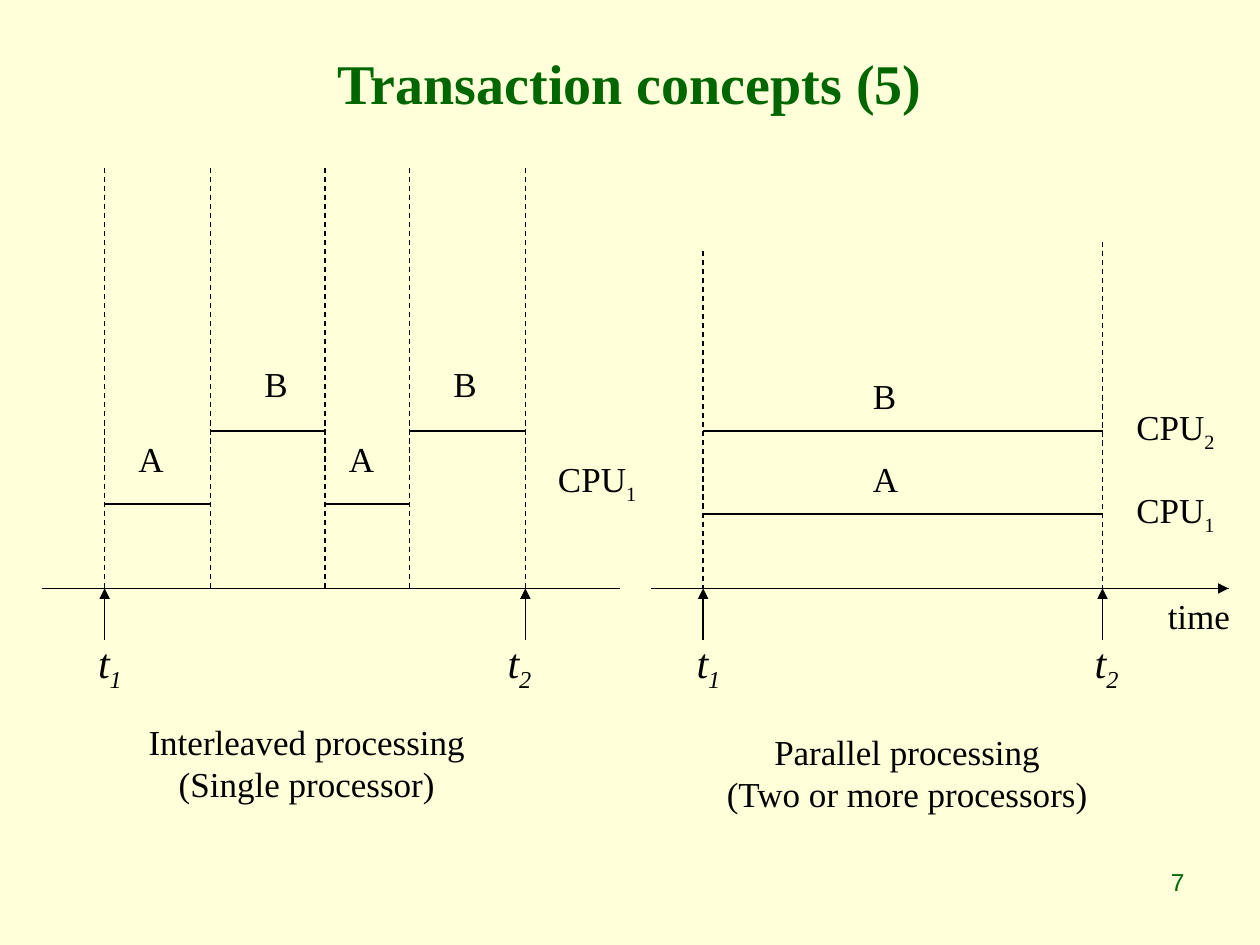
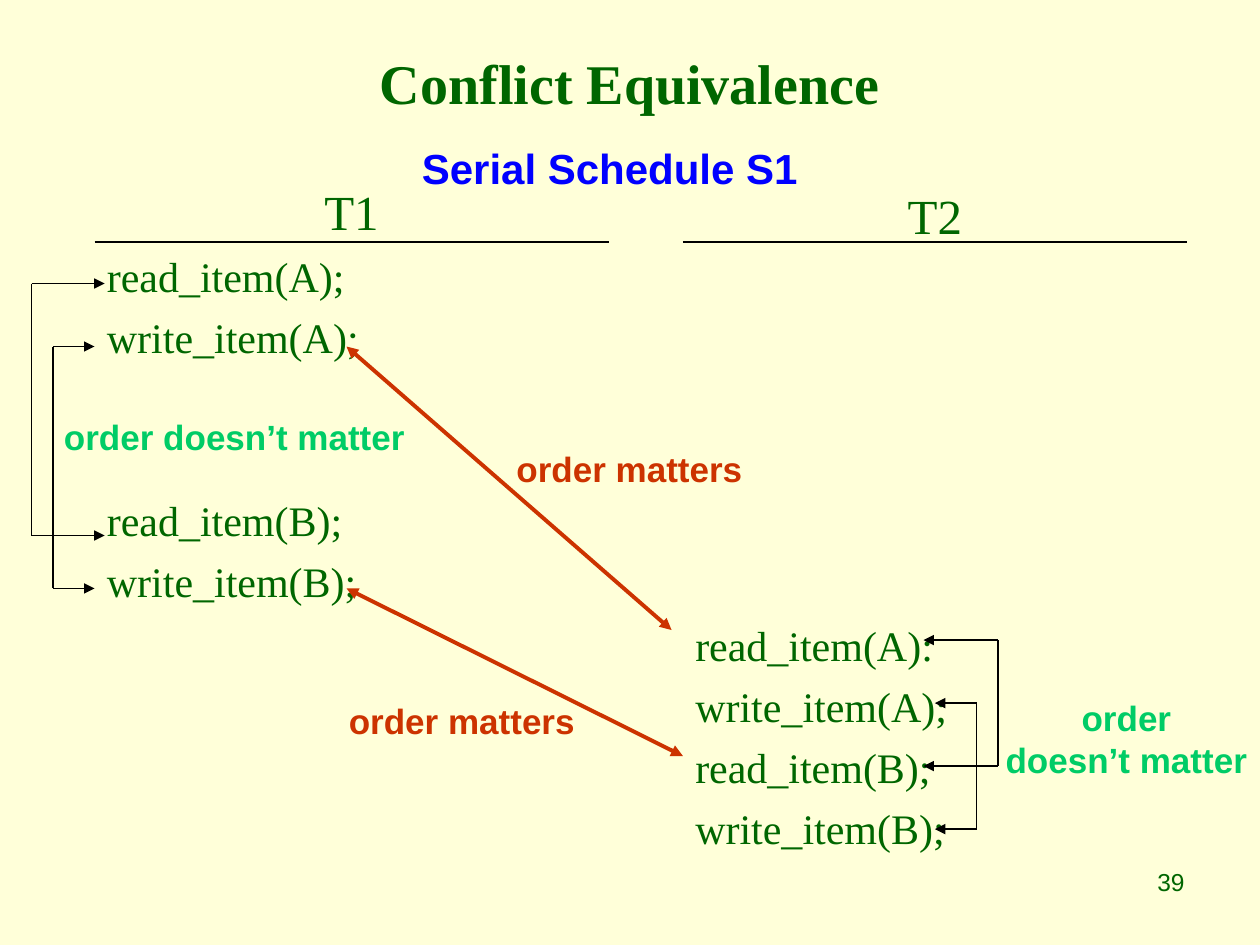
from pptx import Presentation, util as u
from pptx.dml.color import RGBColor
from pptx.enum import dml, shapes, text
from lxml import etree

# Shared look; every length is in grid cells, twelve to the inch
CELLS_PER_INCH = 12
WIDTH, HEIGHT = 120, 90
SERIF, SANS = "Times New Roman", "Arial"
CREAM, GREEN, BLACK = "FFFFD9", "006600", "000000"
RED, MINT, BLUE = "CC3300", "00CC66", "0000FF"
LEFT, CENTER, RIGHT = text.PP_ALIGN.LEFT, text.PP_ALIGN.CENTER, text.PP_ALIGN.RIGHT

# Slide 1: timelines of two processing models
AXIS_ROW = 56
TIMELINES = [
    {
        "axis": (4, 59),
        "dashes": [(10, 16), (20, 16), (31, 16), (39, 16), (50, 16)],  # column, top row
        "label_lift": 7,
        # name, label column, start column, end column, row
        "bursts": [("A", 12, 10, 20, 48), ("B", 24, 20, 31, 41),
                   ("A", 32, 31, 39, 48), ("B", 42, 39, 50, 41)],
        "times": [("1", 10, 8.16), ("2", 50, 47.16)],  # subscript, arrow, label column
        "cpus": [("1", 52, 43)],
        "caption": ("Interleaved processing\n(Single processor)", 13, 68, 32.5),
    },
    {
        "axis": (62, 117),
        "dashes": [(67, 23.9), (105, 23)],
        "label_lift": 6,
        "bursts": [("A", 82, 67, 105, 49), ("B", 82, 67, 105, 41)],
        "times": [("1", 67, 65.16), ("2", 105, 103.08)],
        "cpus": [("1", 107, 46), ("2", 107, 38)],
        "caption": ("Parallel processing\n(Two or more processors)", 67.92, 69, 37),
    },
]

# Slide 2: serial schedule; each item is an operation and the empty steps before it
RULE_ROW = 23
LINE_GAP, STEP = 6, 34.8  # points
SCHEDULE = [
    {"name": "T1", "box": (9, 16.68, 49, 59),
     "operations": [("read_item(A);", 0), ("write_item(A);", 0),
                    ("read_item(B);", 2), ("write_item(B);", 0)]},
    {"name": "T2", "box": (65, 17, 48, 68),
     "operations": [("read_item(A):", 6), ("write_item(A);", 0),
                    ("read_item(B);", 0), ("write_item(B);", 0)]},
]
BRACKETS = [(9, 5, 33, 56), (10, 3, 27, 51),  # tip column, spine column, two rows
            (89, 93, 67, 79), (88, 95, 61, 73)]
CONFLICTS = [(33, 33, 64, 60), (33, 56, 65, 72)]
NOTES = [  # text, box, size, colour, alignment
    ("Serial Schedule S1", (39, 13, 42, 6), 24, BLUE, LEFT),
    ("order matters", (48, 42, 27, 5.3), 20, RED, LEFT),
    ("order matters", (32, 66, 27, 5.3), 20, RED, LEFT),
    ("order doesn’t matter", (4.92, 39, 38, 5.3), 20, MINT, LEFT),
    ("order\ndoesn’t matter", (94.56, 65.76, 25.4, 9.3), 20, MINT, CENTER),
]


def color(code):
    return RGBColor.from_string(code)


def cells(*counts):
    return [u.Inches(round(count / CELLS_PER_INCH, 2)) for count in counts]


def style(run, size, code, font, bold=False, italic=False):
    run.font.size, run.font.name = u.Pt(size), font
    run.font.bold, run.font.italic = bold, italic
    run.font.color.rgb = color(code)


def add_text(slide, words, box, size, code=BLACK, font=SERIF, align=LEFT,
             bold=False, italic=False, subscript=""):
    frame = slide.shapes.add_textbox(*cells(*box)).text_frame
    frame.text = words
    frame.word_wrap = "\n" not in words  # text with set lines breaks nowhere else
    if subscript:
        run = frame.paragraphs[0].add_run()
        run.text = subscript
        run._r.get_or_add_rPr().set("baseline", "-25000")
    for paragraph in frame.paragraphs:
        paragraph.alignment = align
        for run in paragraph.runs:
            style(run, size, code, font, bold, italic)
    return frame


def add_line(slide, x1, y1, x2, y2, code=BLACK, width=0.75, dashed=False, ends=()):
    line = slide.shapes.add_connector(
        shapes.MSO_CONNECTOR.STRAIGHT, *cells(x1, y1, x2, y2))
    line.line.color.rgb = color(code)
    line.line.width = u.Pt(width)
    if dashed:
        line.line.dash_style = dml.MSO_LINE.DASH
    properties = line._element.spPr
    namespace = "{%s}" % properties.nsmap["a"]
    for end in ends:  # headEnd must come before tailEnd
        etree.SubElement(line.line._get_or_add_ln(), namespace + end, type="triangle")
    etree.SubElement(properties, namespace + "effectLst")


def add_slide(presentation, title, number):
    slide = presentation.slides.add_slide(presentation.slide_layouts[6])
    slide.background.fill.solid()
    slide.background.fill.fore_color.rgb = color(CREAM)
    frame = add_text(slide, title, (6, 3.6, WIDTH - 12, 8.4), 32, GREEN,
                     align=CENTER, bold=True)
    frame.vertical_anchor = text.MSO_ANCHOR.MIDDLE
    add_text(slide, number, (86, 82, 28, 6.2), 14, GREEN, SANS, RIGHT)
    return slide


def draw_timeline(slide, timeline):
    start, end = timeline["axis"]
    add_line(slide, start, AXIS_ROW, end, AXIS_ROW)
    for column, top in timeline["dashes"]:
        add_line(slide, column, top, column, AXIS_ROW, dashed=True)
    for name, label, start, end, row in timeline["bursts"]:
        add_line(slide, start, row, end, row, width=1.5)
        add_text(slide, name, (label, row - timeline["label_lift"], 6, 5.3), 20)
    for subscript, column, label in timeline["times"]:
        add_line(slide, column, AXIS_ROW + 5, column, AXIS_ROW, ends=["tailEnd"])
        add_text(slide, "t", (label, AXIS_ROW + 4, 6, 6.7), 24,
                 italic=True, subscript=subscript)
    for subscript, column, row in timeline["cpus"]:
        add_text(slide, "CPU", (column, row, 12, 5.8), 20, subscript=subscript)
    caption, column, row, width = timeline["caption"]
    add_text(slide, caption, (column, row, width, 9.3), 20, align=CENTER)


def draw_transaction(slide, transaction):
    box = transaction["box"]
    frame = add_text(slide, transaction["name"], box, 28, GREEN, align=CENTER)
    frame.paragraphs[0].space_before = u.Pt(LINE_GAP)
    for operation, skipped in transaction["operations"]:
        paragraph = frame.add_paragraph()
        paragraph.text = operation
        paragraph.space_before = u.Pt(LINE_GAP + skipped * STEP)
        style(paragraph.runs[0], 24, GREEN, SERIF)
    add_line(slide, box[0], RULE_ROW, box[0] + box[2], RULE_ROW)


def main():
    presentation = Presentation()
    presentation.slide_width, presentation.slide_height = cells(WIDTH, HEIGHT)

    # Processing models
    slide = add_slide(presentation, "Transaction concepts (5)", "7")
    for timeline in TIMELINES:
        draw_timeline(slide, timeline)
    add_line(slide, 108, AXIS_ROW, 117, AXIS_ROW, ends=["tailEnd"])
    add_text(slide, "time", (110, AXIS_ROW, 10, 5.3), 20)

    # Serial schedule
    slide = add_slide(presentation, "Conflict Equivalence", "39")
    for transaction in SCHEDULE:
        draw_transaction(slide, transaction)
    for tip, spine, top, bottom in BRACKETS:
        add_line(slide, spine, top, spine, bottom)
        for row in (top, bottom):
            add_line(slide, spine, row, tip, row, ends=["tailEnd"])
    for conflict in CONFLICTS:
        add_line(slide, *conflict, code=RED, width=2.25, ends=["headEnd", "tailEnd"])
    for words, box, size, code, align in NOTES:
        add_text(slide, words, box, size, code, SANS, align, bold=True)

    presentation.save("out.pptx")


if __name__ == "__main__":
    main()
